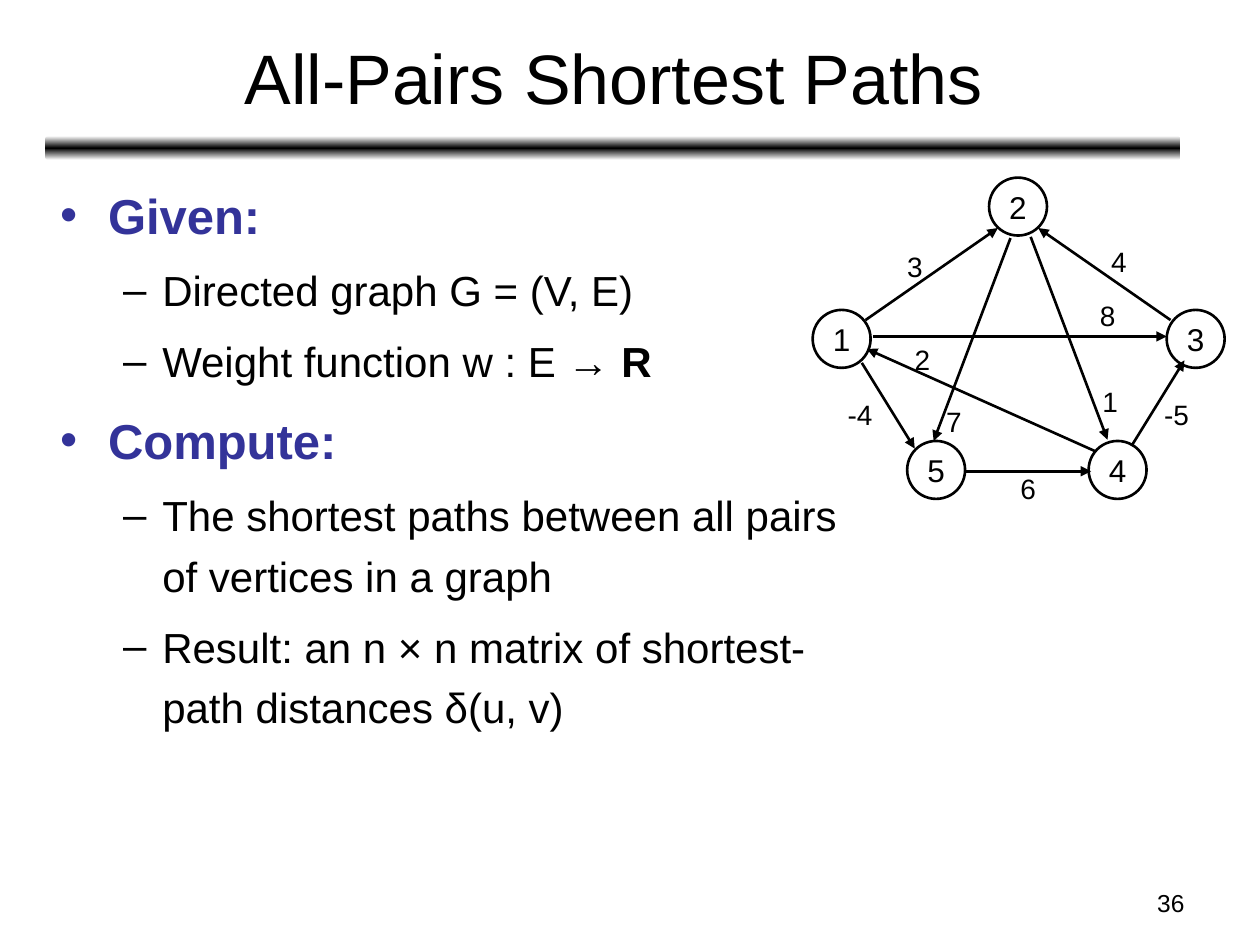
from dataclasses import dataclass

from lxml.etree import SubElement as Sub
from pptx import Presentation
from pptx.dml.color import RGBColor as Rgb
from pptx.enum.shapes import MSO_CONNECTOR as Link, MSO_SHAPE as Form
from pptx.enum.text import MSO_ANCHOR as Anchor, MSO_AUTO_SIZE as Fit, PP_ALIGN as Align
from pptx.oxml.ns import qn
from pptx.util import Inches, Pt


@dataclass(frozen=True)
class Theme:
    """Colours, type sizes and line width of the slide."""
    font: str = "Arial"
    ink: str = "000000"
    paper: str = "FFFFFF"
    accent: str = "333399"
    title: int = 40
    head: int = 28
    text: int = 24
    node: int = 18
    label: int = 16
    page: int = 14
    line: float = 1.5


THEME = Theme()


def write(para, text, size=THEME.text, color=THEME.ink, bold=False, align=None):
    """Add one formatted run to a paragraph."""
    run = para.add_run()
    run.text = text
    run.font.name, run.font.size, run.font.bold = THEME.font, Pt(size), bold
    run.font.color.rgb = Rgb.from_string(color)
    if align is not None:
        para.alignment = align


class Board:
    """Draw elements on a slide with a grid of 100 columns and 75 rows."""

    def __init__(self, deck, theme):
        """Add a title-only slide and work out the grid cell."""
        self.theme = theme
        self.slide = deck.slides.add_slide(deck.slide_layouts[5])
        self.shapes = self.slide.shapes
        self.col, self.row = deck.slide_width / 100, deck.slide_height / 75

    def place(self, x, y, w, h):
        """Turn grid lengths into slide lengths."""
        return (round(x * self.col), round(y * self.row),
                round(w * self.col), round(h * self.row))

    def title(self, text, *area):
        """Move and fill the title placeholder."""
        shape = self.shapes.title
        shape.left, shape.top, shape.width, shape.height = self.place(*area)
        frame = shape.text_frame
        frame.vertical_anchor = Anchor.MIDDLE
        write(frame.paragraphs[0], text, size=self.theme.title, align=Align.CENTER)

    def bar(self, *area):
        """Draw the rule that fades at its top and bottom."""
        shape = self.shapes.add_shape(Form.ROUNDED_RECTANGLE, *self.place(*area))
        shape.shadow.inherit = False
        shape.line.fill.background()
        shape.fill.gradient()
        shape.fill.gradient_angle = 90
        stops = shape._element.spPr.find(".//" + qn("a:gsLst"))
        for stop in list(stops):
            stops.remove(stop)
        fade = (self.theme.paper, self.theme.ink, self.theme.paper)
        for step, color in enumerate(fade):
            stop = Sub(stops, qn("a:gs"), pos=str(step * 50000))
            Sub(stop, qn("a:srgbClr"), val=color)

    def text(self, text, *area, wrap=False, **form):
        """Add a text box with one line."""
        frame = self.shapes.add_textbox(*self.place(*area)).text_frame
        frame.word_wrap = wrap
        frame.auto_size = Fit.NONE if wrap else Fit.SHAPE_TO_FIT_TEXT
        write(frame.paragraphs[0], text, **form)

    def points(self, items, *area):
        """Add a two-level list of (level, text, bold tail)."""
        frame = self.shapes.add_textbox(*self.place(*area)).text_frame
        frame.word_wrap = True
        for i, (level, text, tail) in enumerate(items):
            para = frame.add_paragraph() if i else frame.paragraphs[0]
            self.point(para, level)
            if level:
                write(para, text)
            else:
                write(para, text, size=self.theme.head,
                      color=self.theme.accent, bold=True)
            if tail:
                write(para, tail, bold=True)

    def point(self, para, level):
        """Set spacing, indent and bullet for one list level."""
        mark, color, gap, left, hang = (
            ("–", self.theme.ink, 6, 0.81, 0.31) if level
            else ("•", self.theme.accent, 7, 0.38, 0.38))
        para.level, para.line_spacing, para.space_before = level, 1.2, Pt(gap)
        prop = para._p.get_or_add_pPr()
        prop.set("marL", str(Inches(left)))
        prop.set("indent", str(-Inches(hang)))
        Sub(Sub(prop, qn("a:buClr")), qn("a:srgbClr"), val=color)
        Sub(prop, qn("a:buFont"), typeface=self.theme.font)
        Sub(prop, qn("a:buChar"), char=mark)

    def node(self, name, x, y, size=4.6):
        """Draw a vertex with its number."""
        shape = self.shapes.add_shape(Form.OVAL, *self.place(x, y, size, size))
        shape.shadow.inherit = False
        shape.fill.background()
        self.ink(shape.line)
        frame = shape.text_frame
        frame.word_wrap, frame.vertical_anchor = False, Anchor.MIDDLE
        write(frame.paragraphs[0], name, size=self.theme.node, align=Align.CENTER)

    def edge(self, start, end):
        """Draw an arrow between two grid points."""
        line = self.shapes.add_connector(Link.STRAIGHT, *self.place(*start, *end))
        self.ink(line.line)
        prop = line._element.spPr
        Sub(prop.find(qn("a:ln")), qn("a:tailEnd"), type="triangle")
        Sub(prop, qn("a:effectLst"))

    def ink(self, line):
        """Set the colour and width of a line."""
        line.color.rgb = Rgb.from_string(self.theme.ink)
        line.width = Pt(self.theme.line)

    def label(self, text, x, y):
        """Write the weight of an edge."""
        wide = 2.4 + 0.8 * len(text)
        self.text(text, x, y, wide, 3.7, size=self.theme.label)


POINTS = [
    (0, "Given:", ""),
    (1, "Directed graph G = (V, E)", ""),
    (1, "Weight function w : E → ", "R"),
    (0, "Compute:", ""),
    (1, "The shortest paths between all pairs of vertices in a graph", ""),
    (1, "Result: an n × n matrix of shortest-path distances δ(u, v)", ""),
]
NODES = [("1", 64.5, 24.6), ("2", 78.5, 14.1), ("3", 92.6, 24.6),
         ("5", 72, 35), ("4", 86.4, 35)]
EDGES = [
    ("3", (71, 19.3), (68.7, 25.4), (79.2, 18.1)),
    ("-4", (66.3, 31.1), (68.4, 28.8), (72.6, 35.6)),
    ("6", (80, 36.9), (76.7, 37.4), (86.6, 37.4)),
    ("1", (86.5, 30), (81.8, 18.8), (87.9, 34.9)),
    ("2", (71.6, 26.7), (86.9, 35.8), (68.8, 27.7)),
    ("4", (87.2, 18.9), (92.9, 25.4), (82.4, 18.1)),
    ("7", (74.1, 31.6), (80.2, 18.9), (74.1, 35)),
    ("-5", (91.4, 31.1), (89.8, 35.4), (94, 28.6)),
    ("8", (86.3, 23.2), (69.3, 26.7), (92.6, 26.7)),
]


def main():
    """Build and save the slide."""
    deck = Presentation()
    deck.slide_width, deck.slide_height = Inches(10), Inches(7.5)
    board = Board(deck, THEME)
    board.bar(3.6, 10.8, 90.1, 1.9)
    board.text("36", 71.7, 70, 23.3, 3.5, wrap=True,
               size=THEME.page, align=Align.RIGHT)
    board.title("All-Pairs Shortest Paths", 3.7, 1.1, 90, 9.9)
    board.points(POINTS, 3.8, 13.3, 64, 55.5)
    for node in NODES:
        board.node(*node)
    for cost, spot, start, end in EDGES:
        board.edge(start, end)
        board.label(cost, *spot)
    deck.save("out.pptx")


if __name__ == "__main__":
    main()
